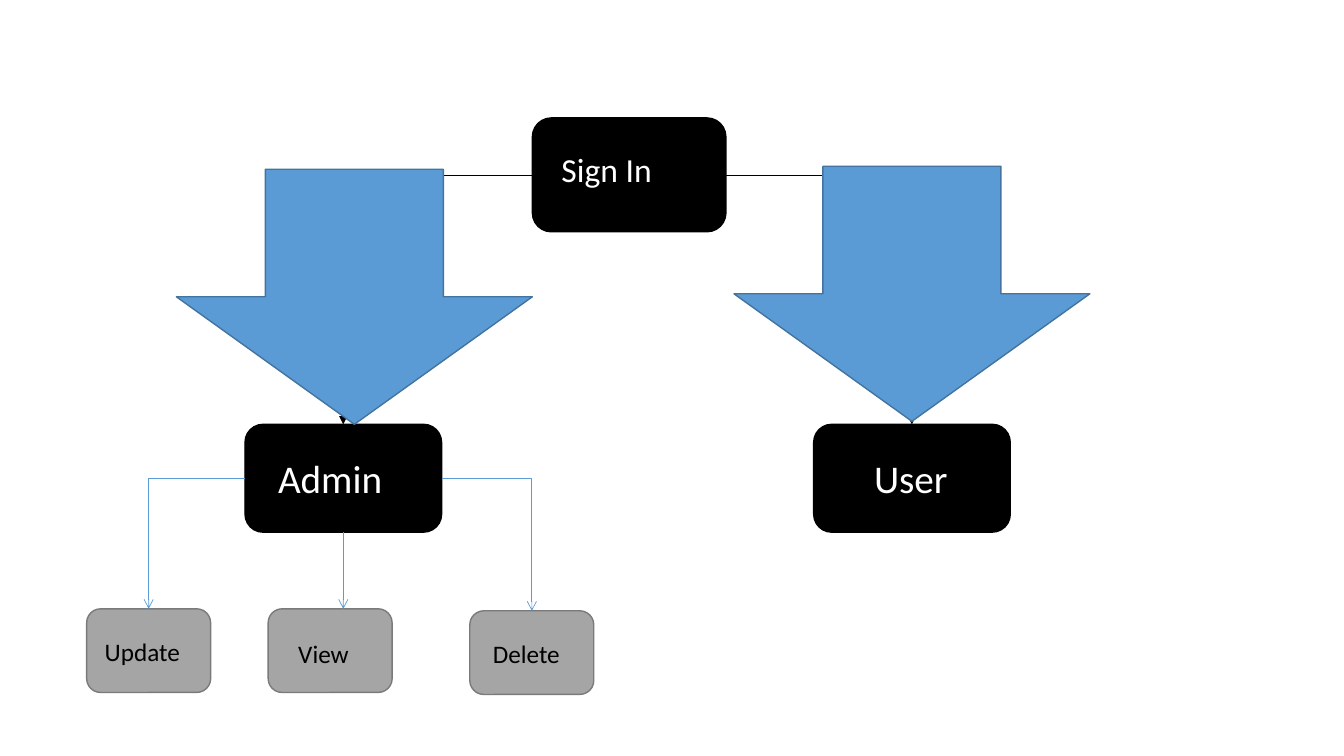
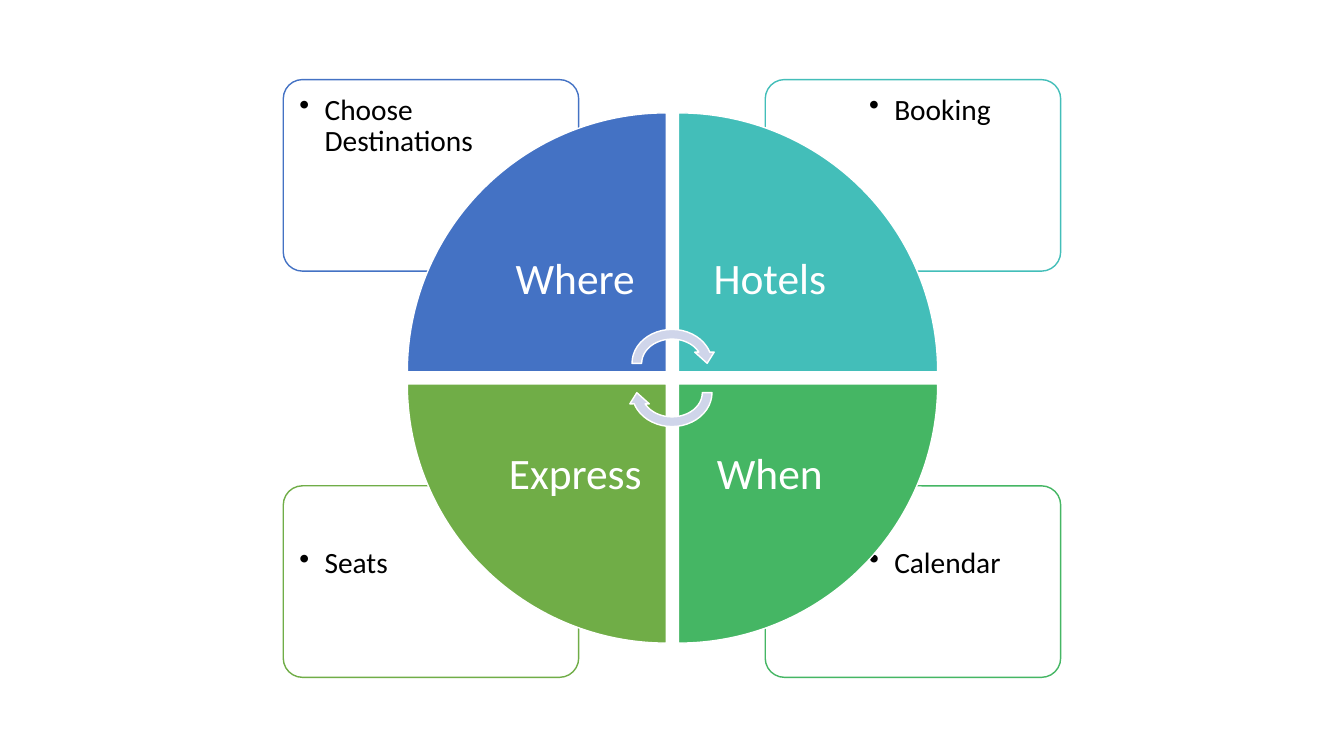
from lxml import etree
from pptx import Presentation
from pptx.dml.color import RGBColor
from pptx.enum.shapes import MSO_CONNECTOR as CONNECTOR, MSO_SHAPE as SHAPE
from pptx.enum.text import MSO_ANCHOR as ANCHOR, PP_ALIGN as ALIGN
from pptx.oxml.ns import qn
from pptx.util import Inches, Pt

FONT = "Calibri"
BLACK = RGBColor(0x00, 0x00, 0x00)
WHITE = RGBColor(0xFF, 0xFF, 0xFF)
GRAY = RGBColor(0xA5, 0xA5, 0xA5)
DARK_GRAY = RGBColor(0x7A, 0x7A, 0x7A)
SKY = RGBColor(0x5B, 0x9B, 0xD5)
DARK_SKY = RGBColor(0x43, 0x73, 0x9E)
BLUE = RGBColor(0x44, 0x72, 0xC4)
TEAL = RGBColor(0x43, 0xBE, 0xB9)
EMERALD = RGBColor(0x45, 0xB6, 0x64)
GREEN = RGBColor(0x70, 0xAD, 0x47)
LAVENDER = RGBColor(0xCF, 0xD5, 0xEA)


def add_figure(page, kind, left, top, width, height, fill, line):
    shape = page.shapes.add_shape(
        kind, Inches(left), Inches(top), Inches(width), Inches(height))
    shape.shadow.inherit = False
    shape.fill.solid()
    shape.fill.fore_color.rgb = fill
    shape.line.color.rgb = line
    shape.line.width = Pt(1)
    return shape


def add_label(page, text, left, top, width, height, size, color, inset=None):
    """Add a one-paragraph text box and return its frame; inset is for all sides."""
    box = page.shapes.add_textbox(
        Inches(left), Inches(top), Inches(width), Inches(height))
    frame = box.text_frame
    frame.word_wrap = True
    if inset is not None:
        frame.margin_left = frame.margin_right = Inches(inset)
        frame.margin_top = frame.margin_bottom = Inches(inset)
    span = frame.paragraphs[0].add_run()
    span.text = text
    span.font.name = FONT
    span.font.size = Pt(size)
    span.font.color.rgb = color
    return frame


deck = Presentation()
deck.slide_width = Inches(13.33)
deck.slide_height = Inches(7.5)
blank = deck.slide_layouts[6]

# Slide 1: sign-in tree
page = deck.slides.add_slide(blank)

ROLE = (BLACK, BLACK, WHITE)
ACTION = (GRAY, DARK_GRAY, BLACK)
# name, box, label box, text size, (fill, line, text colour)
nodes = [
    ("Sign In", (5.28, 1.17, 1.92, 1.13), (5.47, 1.43, 1.3, 0.5), 24, ROLE),
    ("Admin", (2.43, 4.21, 1.95, 1.07), (2.66, 4.46, 1.5, 0.57), 28, ROLE),
    ("User", (8.07, 4.21, 1.95, 1.07), (8.57, 4.46, 1.32, 0.57), 28, ROLE),
    ("Update", (0.86, 6.04, 1.23, 0.83), (0.94, 6.26, 1.15, 0.4), 18, ACTION),
    ("View", (2.66, 6.04, 1.23, 0.83), (2.86, 6.28, 0.83, 0.4), 18, ACTION),
    ("Delete", (4.66, 6.06, 1.23, 0.83), (4.79, 6.28, 1.1, 0.4), 18, ACTION),
]
boxes = {}
for name, place, label_place, size, (fill, line, color) in nodes:
    boxes[name] = add_figure(page, SHAPE.ROUNDED_RECTANGLE, *place, fill, line)
    add_label(page, name, *label_place, size, color)

# Connection sites of a rounded rectangle
TOP, LEFT, BOTTOM, RIGHT = range(4)
links = [
    ("Sign In", LEFT, "Admin", BLACK, "triangle"),
    ("Sign In", RIGHT, "User", BLACK, "triangle"),
    ("Admin", LEFT, "Update", SKY, "arrow"),
    ("Admin", RIGHT, "Delete", SKY, "arrow"),
    ("Admin", BOTTOM, "View", SKY, "arrow"),
]
for source, site, target, color, head in links:
    if site == BOTTOM:
        middle = boxes[source].left + boxes[source].width // 2
        link = page.shapes.add_connector(
            CONNECTOR.STRAIGHT, middle, boxes[source].top + boxes[source].height,
            middle, boxes[target].top)
    else:
        link = page.shapes.add_connector(CONNECTOR.ELBOW, 0, 0, 0, 0)
        link.begin_connect(boxes[source], site)
        link.end_connect(boxes[target], TOP)
        link._element.spPr.find(qn("a:prstGeom")).set("prst", "bentConnector2")
    link.line.color.rgb = color
    link.line.width = Pt(0.5)
    etree.SubElement(link.line._get_or_add_ln(), qn("a:tailEnd"), type=head)
    etree.SubElement(link._element.spPr, qn("a:effectLst"))

for left, top in [(1.75, 1.68), (7.28, 1.65)]:
    add_figure(page, SHAPE.DOWN_ARROW, left, top, 3.53, 2.53, SKY, DARK_SKY)

# Slide 2: cycle of four quarters
page = deck.slides.add_slide(blank)

CARD_W, CARD_H = 2.93, 1.9
NOTE_W, NOTE_H = 1.97, 1.34
WEDGE, TITLE = 2.57, 1.81
# title, note, colour, column, row: clockwise from top left
quarters = [
    ("Where", "Choose Destinations", BLUE, 0, 0),
    ("Hotels", "Booking", TEAL, 1, 0),
    ("When", "Calendar", EMERALD, 1, 1),
    ("Express", "Seats", GREEN, 0, 1),
]
for title, note, color, column, row in quarters:
    left, top = 2.81 + 4.78 * column, 0.79 + 4.03 * row
    card = add_figure(page, SHAPE.ROUNDED_RECTANGLE, left, top, CARD_W, CARD_H, WHITE, color)
    card.adjustments[0] = 0.1
    note_left = left + (CARD_W - NOTE_W - 0.04 if column else 0.05)
    note_top = top + (CARD_H - NOTE_H - 0.05 if row else 0.04)
    frame = add_label(page, note, note_left, note_top, NOTE_W, NOTE_H, 21, BLACK, 0.11)
    para = frame.paragraphs[0]
    para.line_spacing = 0.9
    bullet = para._p.get_or_add_pPr()
    bullet.set("marL", str(Inches(0.25)))
    bullet.set("indent", str(Inches(-0.25)))
    etree.SubElement(bullet, qn("a:buChar"), char="•")

for turn, (title, note, color, column, row) in enumerate(quarters):
    left, top = 4.04 + 2.69 * column, 1.12 + 2.69 * row
    wedge = add_figure(page, SHAPE.PIE_WEDGE, left, top, WEDGE, WEDGE, color, WHITE)
    wedge.rotation = 90 * turn
    # Each title sits in the corner nearest the centre of the circle
    title_left = left + (WEDGE - TITLE) * (1 - column)
    title_top = top + (WEDGE - TITLE) * (1 - row)
    frame = add_label(page, title, title_left, title_top, TITLE, TITLE, 31, WHITE, 0.24)
    frame.vertical_anchor = ANCHOR.MIDDLE
    frame.paragraphs[0].alignment = ALIGN.CENTER
    frame.paragraphs[0].line_spacing = 0.9

for top, angle in [(3.22, 0), (3.51, 180)]:
    arrow = add_figure(page, SHAPE.CIRCULAR_ARROW, 6.22, top, 0.89, 0.77, LAVENDER, WHITE)
    arrow.rotation = angle

deck.save("out.pptx")
